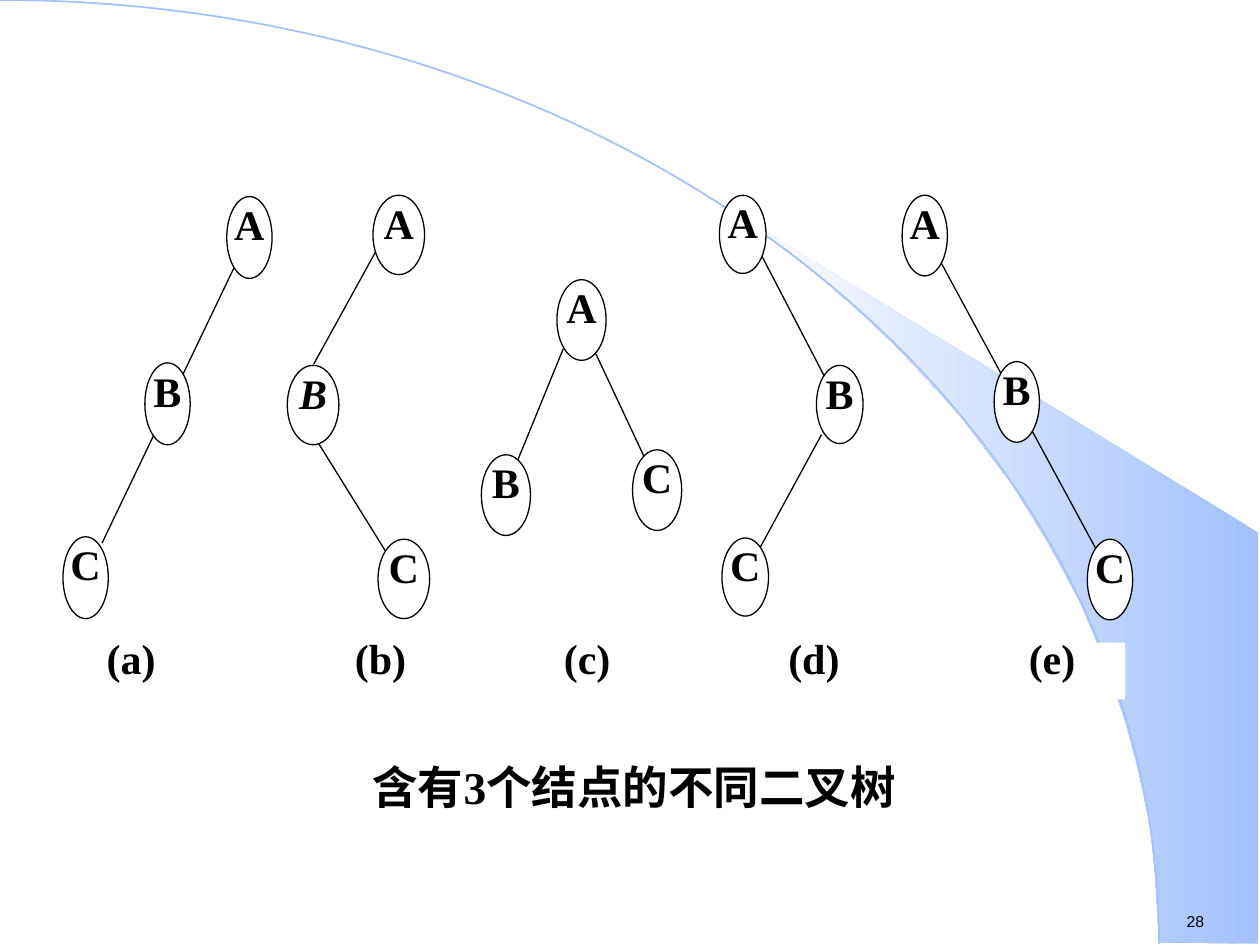
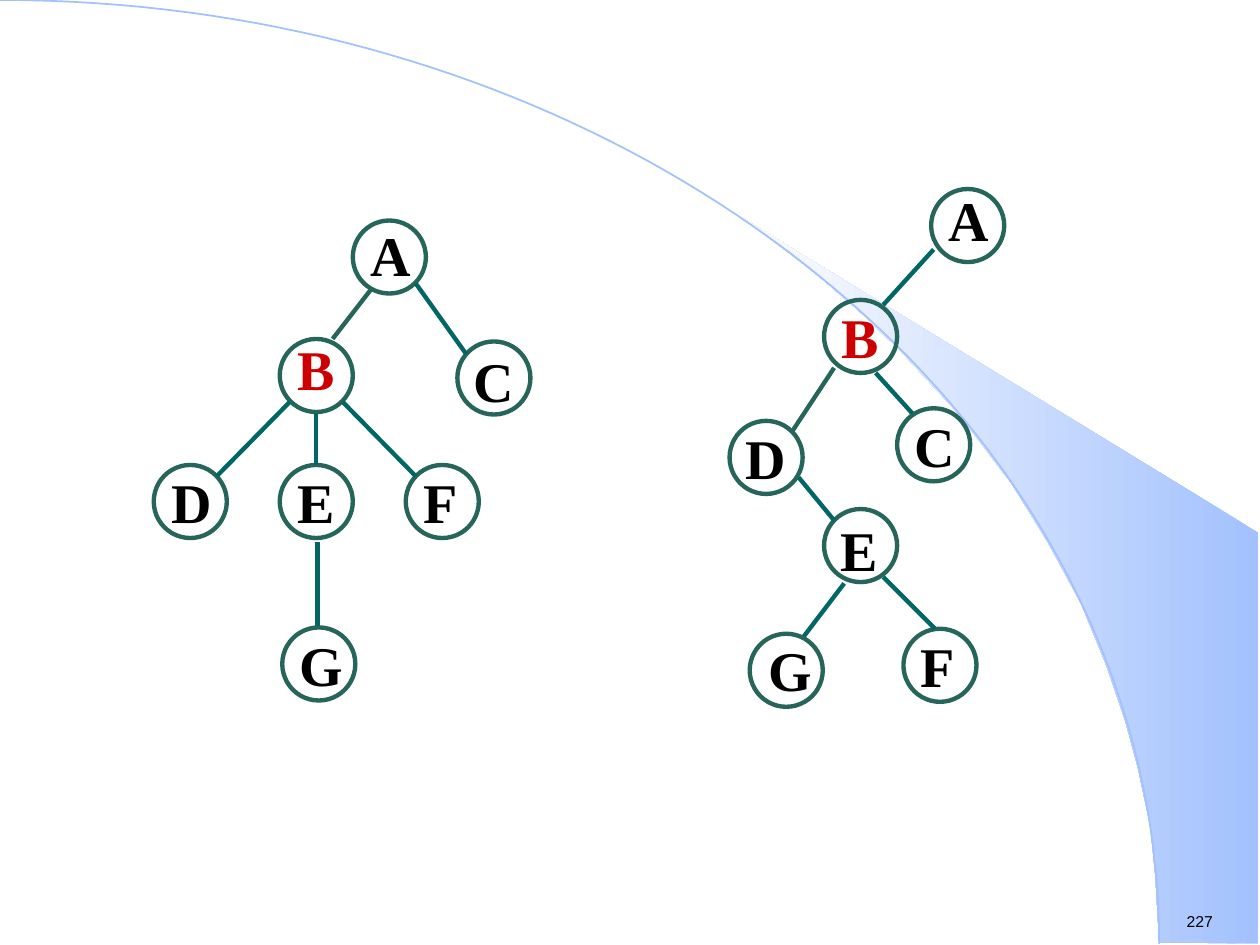
"""Builds two slides of binary tree diagrams on a shared arc-and-band background."""
import dataclasses
import typing

import lxml.etree
import pptx
import pptx.dml.color
import pptx.enum.shapes
import pptx.enum.text
import pptx.oxml.ns
import pptx.util

PX = 9144
SERIF, SANS = "Times New Roman", "Arial"
BLACK, WHITE, RED = "000000", "FFFFFF", "CC0000"
SKY, MIST = "A2C1FE", "FEFEFE"
RING, TEAL = "26665A", "006666"
LEFT = pptx.enum.text.PP_ALIGN.LEFT
CENTER = pptx.enum.text.PP_ALIGN.CENTER
SHAPE = pptx.enum.shapes.MSO_SHAPE
RING_SIZE = 58
BAND = [(920, 748), (999, 749), (999, 423), (589, 173), (624, 199), (653, 222),
        (685, 250), (716, 280), (762, 330), (803, 384), (832, 431), (858, 479),
        (878, 528), (893, 572), (903, 609), (913, 656), (917, 696)]
ARC = [(0, 0), (508, 0), (920, 335), (920, 749)]
ARC_STEPS = 80


class Edge(typing.NamedTuple):
    x1: int
    y1: int
    x2: int
    y2: int
    color: str = TEAL


class Oval(typing.NamedTuple):
    letter: str
    x: int
    y: int
    italic: bool = False


@dataclasses.dataclass
class Tree:
    w: int
    h: int
    ovals: list[Oval]
    edges: list[Edge]


class Ring(typing.NamedTuple):
    letter: str
    x: int
    y: int
    dx: int = 4
    dy: int = -8
    spacing: float = 1.1
    color: str = BLACK


@dataclasses.dataclass
class Style:
    size: int
    font: str = SERIF
    bold: bool = True
    italic: bool = False
    color: str = BLACK
    align: typing.Any = LEFT
    spacing: float = 1.0
    tabs: tuple[int, ...] = ()


TREES = [
    Tree(36, 65, [Oval("A", 180, 156), Oval("B", 115, 288), Oval("C", 50, 426)],
         [Edge(81, 431, 186, 212)]),
    Tree(41, 63, [Oval("A", 296, 155), Oval("B", 228, 290, True), Oval("C", 300, 428)],
         [Edge(303, 191, 249, 289), Edge(251, 349, 307, 439)]),
    Tree(39, 64, [Oval("A", 442, 222), Oval("B", 382, 361), Oval("C", 502, 357)],
         [Edge(447, 277, 411, 365), Edge(473, 281, 511, 362)]),
    Tree(37, 62, [Oval("A", 571, 155), Oval("B", 648, 290), Oval("C", 573, 427)],
         [Edge(603, 200, 655, 300), Edge(652, 345, 603, 435)]),
    Tree(36, 64, [Oval("A", 716, 155), Oval("B", 789, 287), Oval("C", 863, 428)],
         [Edge(732, 181, 870, 436)]),
]
LABEL_CENTERS = (69, 267, 431, 611, 800)

RINGS = [
    Ring("A", 280, 175, dy=-5, spacing=1.0), Ring("B", 222, 269, spacing=1.0, color=RED),
    Ring("C", 363, 271, dx=3, dy=-6), Ring("D", 122, 369), Ring("E", 222, 369),
    Ring("F", 322, 369), Ring("G", 224, 498),
    Ring("A", 739, 150, spacing=1.0), Ring("B", 654, 238, color=RED),
    Ring("C", 712, 324), Ring("D", 579, 334, dx=3), Ring("E", 654, 404, dx=3, dy=-5),
    Ring("G", 595, 503, dx=5, dy=-9), Ring("F", 717, 499),
]
RING_EDGES = [
    Edge(295, 229, 264, 269, RING), Edge(330, 225, 370, 281),
    Edge(230, 319, 172, 378), Edge(251, 328, 251, 369),
    Edge(272, 319, 330, 378), Edge(252, 430, 252, 497),
    Edge(741, 198, 701, 242), Edge(662, 292, 629, 342, RING),
    Edge(695, 296, 724, 328), Edge(634, 379, 662, 413),
    Edge(670, 463, 638, 505), Edge(701, 458, 742, 499),
]


def px(n: float) -> int:
    """Turn px into EMU."""
    return round(n * PX)


def rgb(color: str) -> pptx.dml.color.RGBColor:
    """Turn a hex string into a colour."""
    return pptx.dml.color.RGBColor.from_string(color)


def write(sp, text: str, style: Style, inset: tuple[int, int] = (0, 0), wrap: bool = True) -> None:
    """Write one paragraph at the top of a shape."""
    tf = sp.text_frame
    tf.word_wrap = wrap
    tf.vertical_anchor = pptx.enum.text.MSO_ANCHOR.TOP
    tf.margin_left = tf.margin_right = px(inset[0])
    tf.margin_top = tf.margin_bottom = px(inset[1])
    p = tf.paragraphs[0]
    p.alignment = style.align
    p.line_spacing = style.spacing
    if style.tabs:
        qn = pptx.oxml.ns.qn
        tab_list = lxml.etree.SubElement(p._p.get_or_add_pPr(), qn("a:tabLst"))
        for pos in style.tabs:
            lxml.etree.SubElement(tab_list, qn("a:tab"), pos=str(px(pos)), algn="ctr")
    r = p.add_run()
    r.text = text
    r.font.name = style.font
    r.font.size = pptx.util.Pt(style.size)
    r.font.bold = style.bold
    r.font.italic = style.italic
    r.font.color.rgb = rgb(style.color)


def add_shape(s, kind, x: int, y: int, w: int, h: int, fill: str | None = None,
              line: str | None = None, weight: float = 0.75):
    """Add a preset shape with plain fill and outline."""
    sp = s.shapes.add_shape(kind, px(x), px(y), px(w), px(h))
    sp.shadow.inherit = False
    if fill:
        sp.fill.solid()
        sp.fill.fore_color.rgb = rgb(fill)
    else:
        sp.fill.background()
    if line:
        sp.line.color.rgb = rgb(line)
        sp.line.width = pptx.util.Pt(weight)
    else:
        sp.line.fill.background()
    return sp


def add_edge(s, edge: Edge, color: str, weight: float) -> None:
    """Draw a straight line between two nodes."""
    cx = s.shapes.add_connector(pptx.enum.shapes.MSO_CONNECTOR.STRAIGHT,
                                px(edge.x1), px(edge.y1), px(edge.x2), px(edge.y2))
    cx.line.color.rgb = rgb(color)
    cx.line.width = pptx.util.Pt(weight)
    lxml.etree.SubElement(cx._element.spPr, pptx.oxml.ns.qn("a:effectLst"))


def add_outline(s, points: list[tuple[float, float]], close: bool):
    """Add a freeform through the given points."""
    pts = [(px(x), px(y)) for x, y in points]
    fb = s.shapes.build_freeform(*pts[0], scale=1.0)
    fb.add_line_segments(pts[1:], close=close)
    sp = fb.convert_to_shape()
    sp.shadow.inherit = False
    return sp


def bezier(t: float) -> tuple[float, float]:
    """Return the point of the arc at parameter t."""
    weights = ((1 - t) ** 3, 3 * t * (1 - t) ** 2, 3 * t * t * (1 - t), t ** 3)
    return (sum(k * p[0] for k, p in zip(weights, ARC)),
            sum(k * p[1] for k, p in zip(weights, ARC)))


def add_base(prs, number: str):
    """Add a blank slide with band, arc and page number."""
    s = prs.slides.add_slide(prs.slide_layouts[6])
    band = add_outline(s, BAND, True)
    band.fill.gradient()
    band.fill.gradient_angle = 180
    for stop, color, pos in zip(band.fill.gradient_stops, (SKY, MIST), (0, 1)):
        stop.color.rgb = rgb(color)
        stop.position = pos
    band.line.fill.background()
    arc = add_outline(s, [bezier(i / ARC_STEPS) for i in range(ARC_STEPS + 1)], False)
    arc.fill.background()
    arc.line.color.rgb = rgb(SKY)
    arc.line.width = pptx.util.Pt(1)
    tb = s.shapes.add_textbox(px(932), px(719), px(77), px(25))
    write(tb, number, Style(9, SANS, bold=False), (10, 5), wrap=False)
    return s


def add_tree(s, tree: Tree) -> None:
    """Draw the edges and then the ovals of a tree."""
    for edge in tree.edges:
        add_edge(s, edge, BLACK, 0.75)
    for o in tree.ovals:
        sp = add_shape(s, SHAPE.OVAL, o.x, o.y, tree.w, tree.h, WHITE, BLACK)
        write(sp, o.letter, Style(24, italic=o.italic, align=CENTER, spacing=0.8))


def add_ring(s, ring: Ring) -> None:
    """Draw a ring and its letter."""
    add_shape(s, SHAPE.OVAL, ring.x, ring.y, RING_SIZE, RING_SIZE, line=RING, weight=2.5)
    tb = s.shapes.add_textbox(px(ring.x + ring.dx), px(ring.y + ring.dy),
                              px(RING_SIZE), px(64 if ring.spacing == 1 else 69))
    write(tb, ring.letter, Style(32, color=ring.color, spacing=ring.spacing), (10, 5))


def main() -> None:
    """Build and save both slides."""
    prs = pptx.Presentation()
    prs.slide_width, prs.slide_height = px(1000), px(750)

    s = add_base(prs, "28")
    labels = add_shape(s, SHAPE.RECTANGLE, 35, 510, 858, 45, WHITE)
    write(labels, "".join(f"\t({c})" for c in "abcde"),
          Style(24, spacing=0.8, tabs=LABEL_CENTERS))
    for tree in TREES:
        add_tree(s, tree)
    caption = add_shape(s, SHAPE.RECTANGLE, 248, 611, 511, 51, WHITE)
    write(caption, "含有3个结点的不同二叉树", Style(26, align=CENTER, spacing=0.8))

    s = add_base(prs, "227")
    for ring in RINGS:
        add_ring(s, ring)
    for edge in RING_EDGES:
        add_edge(s, edge, edge.color, 2.5)

    prs.save("out.pptx")


if __name__ == "__main__":
    main()
